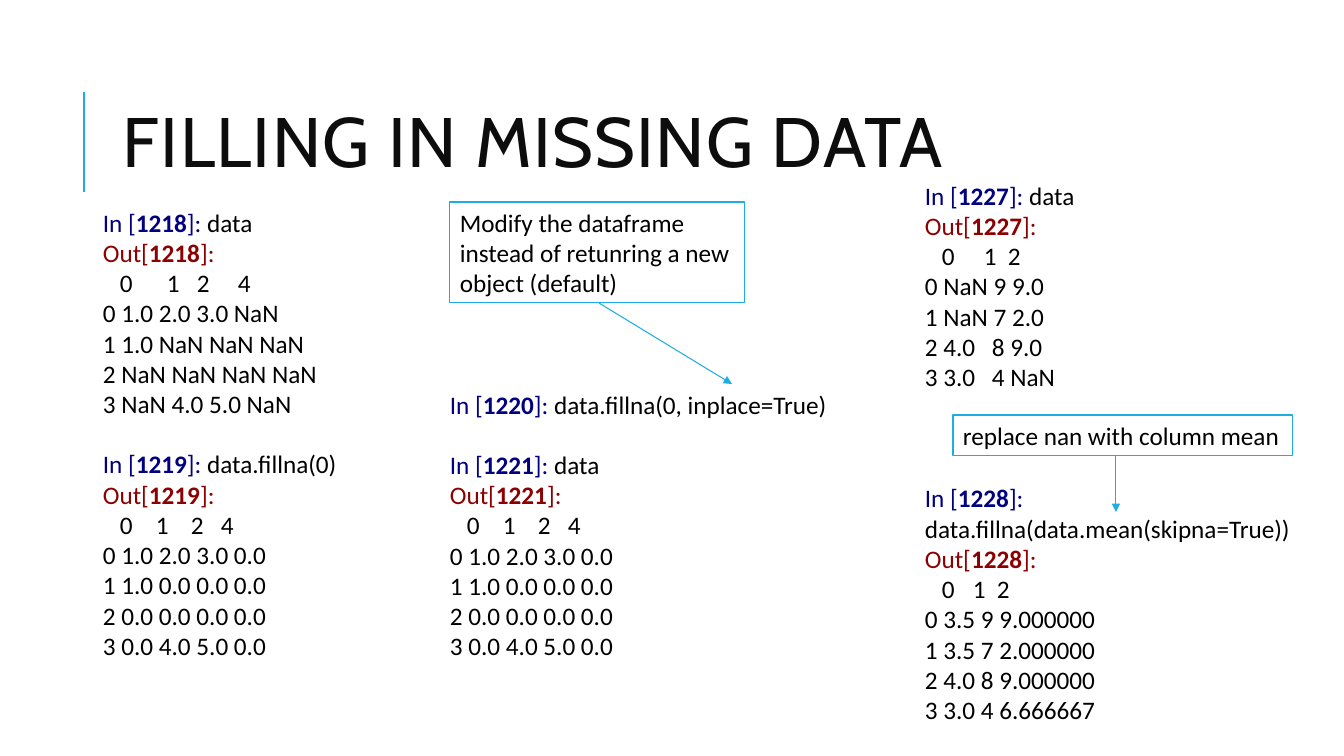
from lxml import etree
from pptx import Presentation
from pptx.dml.color import RGBColor
from pptx.enum import shapes, text
from pptx.oxml import ns
from pptx.util import Emu, Pt

SCALE = 914400 / 100.8
NAVY = RGBColor(0x00, 0x00, 0x80)
RED = RGBColor(0x8B, 0x00, 0x00)
BLACK = RGBColor(0x00, 0x00, 0x00)
INK = RGBColor(0x0D, 0x0D, 0x0D)
BLUE = RGBColor(0x1C, 0xAD, 0xE4)


def px(*vals):
    return [Emu(round(v * SCALE)) for v in vals]


def add_run(para, words, color, bold=False, size=18, face="Calibri"):
    run = para.add_run()
    run.text = words
    font = run.font
    font.name, font.size, font.bold = face, Pt(size), bold
    font.color.rgb = color
    return run


def add_text(slide, box):
    frame = slide.shapes.add_textbox(*px(*box)).text_frame
    frame.word_wrap = True
    return frame


def add_line(slide, start, end, width, arrow=False):
    line = slide.shapes.add_connector(
        shapes.MSO_CONNECTOR.STRAIGHT, *px(*start, *end))
    line.line.color.rgb, line.line.width = BLUE, Pt(width)
    if arrow:
        tail = etree.SubElement(line.line._get_or_add_ln(), ns.qn("a:tailEnd"))
        tail.set("type", "triangle")
    etree.SubElement(line._element.spPr, ns.qn("a:effectLst"))


def set_tabs(para, stops):
    tabs = etree.SubElement(para._p.get_or_add_pPr(), ns.qn("a:tabLst"))
    for stop in stops:
        tab = etree.SubElement(tabs, ns.qn("a:tab"))
        tab.set("pos", str(px(stop)[0]))
        tab.set("algn", "l")


# Title with the rule at its left
def add_title(slide, box, words):
    x, y, _, _ = box
    add_line(slide, (x - 29, y + 127), (x - 29, y + 27), 1.5)
    frame = add_text(slide, box)
    frame.vertical_anchor = text.MSO_ANCHOR.MIDDLE
    para = frame.paragraphs[0]
    para.line_spacing = 0.8
    run = add_run(para, words, INK, size=50, face="Cabin")
    run.font._element.set("spc", "100")


# Column of console cells: number, code, header tab stops, header, rows
def add_cells(slide, box, cells, gap=30):
    frame = add_text(slide, box)
    paras = iter(frame.paragraphs)

    def new_para():
        return next(paras, None) or frame.add_paragraph()

    def add_prompt(lead, num, color):
        para = new_para()
        for words, bold in ((lead, False), (num, True), ("]: ", False)):
            add_run(para, words, color, bold)
        return para

    for pos, (num, code, stops, head, rows) in enumerate(cells):
        para = add_prompt("In [", num, NAVY)
        add_run(para, code, BLACK)
        if pos:
            para.space_before = px(gap)[0]
        if not rows:
            continue
        add_prompt("Out[", num, RED)
        para = new_para()
        set_tabs(para, stops)
        add_run(para, "".join("\t" + name for name in head), BLACK)
        for row in rows:
            para = new_para()
            if "\t" in row:
                set_tabs(para, [67])
            add_run(para, row, BLACK)


# Outlined note with an arrow; start and tip are relative to its box
def add_note(slide, box, words, start, tip, wrap=True):
    x, y, _, _ = box
    rect = slide.shapes.add_shape(shapes.MSO_SHAPE.RECTANGLE, *px(*box))
    rect.shadow.inherit = False
    rect.fill.background()
    rect.line.color.rgb, rect.line.width = BLUE, Pt(0.75)
    frame = rect.text_frame
    frame.word_wrap = wrap
    frame.vertical_anchor = text.MSO_ANCHOR.TOP
    para = frame.paragraphs[0]
    para.alignment = text.PP_ALIGN.LEFT
    add_run(para, words, BLACK)
    add_line(slide, (x + start[0], y + start[1]),
             (x + tip[0], y + tip[1]), 0.75, arrow=True)


ZEROED = ["0 1.0 2.0 3.0 0.0", "1 1.0 0.0 0.0 0.0",
          "2 0.0 0.0 0.0 0.0", "3 0.0 4.0 5.0 0.0"]
WIDE = [17, 53, 88, 118]

LEFT = [
    ("1218", "data", [17, 64, 94, 135], "0124",
     ["0 1.0 2.0 3.0 NaN", "1 1.0 NaN NaN NaN",
      "2 NaN NaN NaN NaN", "3 NaN 4.0 5.0 NaN"]),
    ("1219", "data.fillna(0)", WIDE, "0124", ZEROED),
]
MID = [
    ("1220", "data.fillna(0, inplace=True)", [], "", []),
    ("1221", "data", WIDE, "0124", ZEROED),
]
RIGHT = [
    ("1227", "data", [17, 59, 83], "012",
     ["0 NaN 9 9.0", "1 NaN 7 2.0", "2 4.0\t8 9.0", "3 3.0\t4 NaN"]),
    ("1228", "data.fillna(data.mean(skipna=True))", [17, 48, 72], "012",
     ["0 3.5 9 9.000000", "1 3.5 7 2.000000",
      "2 4.0 8 9.000000", "3 3.0 4 6.666667"]),
]

deck = Presentation()
deck.slide_width, deck.slide_height = px(1344, 756)
page = deck.slides.add_slide(deck.slide_layouts[6])

add_title(page, (113, 65, 1072, 165), "FILLING IN MISSING DATA")
add_cells(page, (93, 202, 348, 468), LEFT)
add_cells(page, (440, 384, 406, 285), MID)
add_cells(page, (915, 175, 400, 560), RIGHT, gap=91)
add_note(page, (450, 202, 295, 101),
         "Modify the dataframe instead of retunring a new object (default)",
         (149, 101), (282, 182))
add_note(page, (953, 415, 340, 41), "replace nan with column mean",
         (163, 41), (163, 97), wrap=False)

deck.save("out.pptx")
